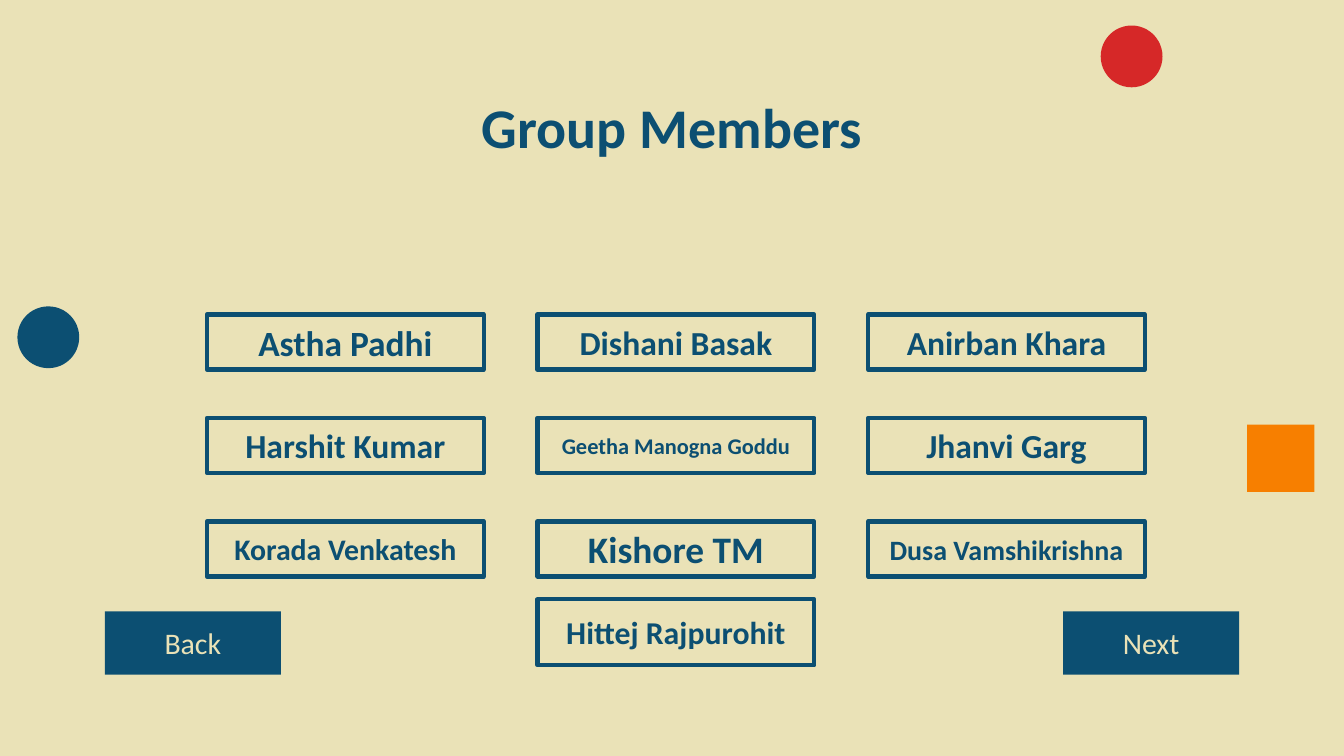
from pptx import Presentation
from pptx import util as u
from pptx.dml.color import RGBColor
from pptx.enum import shapes, text

# Content: name and text size, row by row
TITLE = "Group Members"
NAMES = [
    [("Astha Padhi", 19), ("Dishani Basak", 18), ("Anirban Khara", 18)],
    [("Harshit Kumar", 18), ("Geetha Manogna Goddu", 12), ("Jhanvi Garg", 18)],
    [("Korada Venkatesh", 16), ("Kishore TM", 20), ("Dusa Vamshikrishna", 15)],
]
LAST = ("Hittej Rajpurohit", 17)
HUES = {"sand": "EAE2B7", "navy": "0C4F72", "red": "D62828", "orange": "F77F00"}
FONT = "Calibri"

# Layout in inches, on a 16:9 slide
WIDE = 10
HIGH = WIDE * 9 / 16
EDGE = 0.78
LEFT, TOP = 1.54, 2.34
STEP_X, STEP_Y = 2.46, 0.77
BOX_W, BOX_H = 2.06, 0.41
NAV_W, NAV_H = 1.31, 0.47
DOT = 0.46

KIND = shapes.MSO_SHAPE
ANCHOR = text.MSO_ANCHOR

prs = Presentation()
prs.slide_width, prs.slide_height = u.Inches(WIDE), u.Inches(HIGH)
slide = prs.slides.add_slide(prs.slide_layouts[5])


def hue(name):
    return RGBColor.from_string(HUES[name])


def draw(kind, x, y, w, h, fill=None, line=None):
    shape = slide.shapes.add_shape(kind, *map(u.Inches, (x, y, w, h)))
    shape.shadow.inherit = False
    if fill:
        shape.fill.solid()
        shape.fill.fore_color.rgb = hue(fill)
    else:
        shape.fill.background()
    if line:
        shape.line.color.rgb = hue(line)
        shape.line.width = u.Pt(2.25)
    else:
        shape.line.fill.background()
    return shape


def write(shape, words, size, color="navy", bold=True, anchor=ANCHOR.MIDDLE):
    frame = shape.text_frame
    frame.word_wrap = True
    frame.auto_size = text.MSO_AUTO_SIZE.NONE
    frame.vertical_anchor = anchor
    frame.margin_left = frame.margin_right = u.Inches(0.1)
    frame.margin_top = frame.margin_bottom = u.Inches(0.1)
    para = frame.paragraphs[0]
    para.alignment = text.PP_ALIGN.CENTER
    run = para.add_run()
    run.text = words
    font = run.font
    font.name, font.size, font.bold = FONT, u.Pt(size), bold
    font.color.rgb = hue(color)


# Background and ornaments
slide.background.fill.solid()
slide.background.fill.fore_color.rgb = hue("sand")
draw(KIND.RECTANGLE, 9.28, 3.16, 0.5, 0.5, "orange")
draw(KIND.OVAL, 0.13, 2.28, DOT, DOT, "navy")
draw(KIND.OVAL, 8.19, 0.19, DOT, DOT, "red")

# Title
title = slide.shapes.title
title.left, title.top = u.Inches(EDGE), u.Inches(0.59)
title.width, title.height = u.Inches(WIDE - 2 * EDGE), u.Inches(0.63)
write(title, TITLE, 30, anchor=ANCHOR.TOP)

# Grid of members
for row, names in enumerate(NAMES):
    for col, (name, size) in enumerate(names):
        box = draw(KIND.RECTANGLE, LEFT + col * STEP_X, TOP + row * STEP_Y,
                   BOX_W, BOX_H, line="navy")
        write(box, name, size)

# Navigation buttons
for label, x in [("Back", EDGE), ("Next", WIDE - EDGE - NAV_W)]:
    button = draw(KIND.RECTANGLE, x, 4.55, NAV_W, NAV_H, "navy")
    write(button, label, 16, "sand", bold=False)

# Last member, under the middle column
box = draw(KIND.RECTANGLE, LEFT + STEP_X, 4.46, BOX_W, 0.49, line="navy")
write(box, *LAST, anchor=ANCHOR.TOP)

prs.save("out.pptx")
